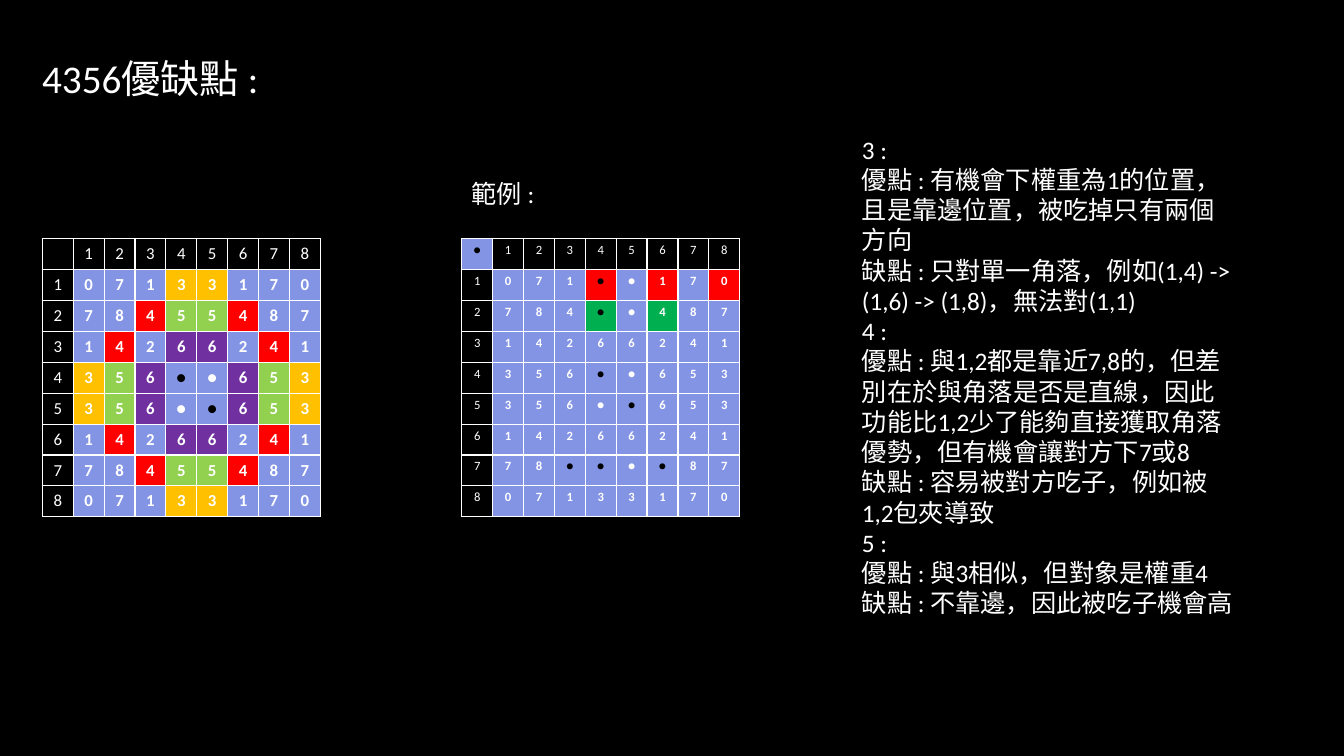
from lxml.etree import SubElement
from pptx import Presentation
from pptx.dml.color import RGBColor
from pptx.enum.text import MSO_AUTO_SIZE as AutoSize, PP_ALIGN as Align
from pptx.oxml.ns import qn
from pptx.util import Inches, Pt

FONT = "Calibri"
WHITE, BLACK = "FFFFFF", "000000"
BLUE, RED, GREEN = "8394E4", "FF0000", "00B050"
WEIGHT_FILLS = {"3": "FFC000", "4": RED, "5": "92D050", "6": "7030A0"}
MOVE_FILLS = {(1, 4): RED, (1, 6): RED, (1, 8): RED, (2, 4): GREEN, (2, 6): GREEN}
BOARD_SIZE = 2.76
DISC = "●"

# x is a black disc, o a white one; row 0 and column 0 are headers.
WEIGHTS = [" 12345678", "107133170", "278455487", "314266241", "4356xo653",
           "5356ox653", "614266241", "778455487", "807133170"]
EXAMPLE = ["x12345678", "1071xo170", "2784xo487", "314266241", "4356xo653",
           "5356ox653", "614266241", "778xxox87", "807133170"]

NOTES = [
    "3 : ",
    "優點 : 有機會下權重為1的位置，且是靠邊位置，被吃掉只有兩個方向",
    "缺點 : 只對單一角落，例如(1,4) -> (1,6) -> (1,8)，無法對(1,1)",
    "4 :",
    "優點 : 與1,2都是靠近7,8的，但差別在於與角落是否是直線，因此功能比1,2少了能夠直接獲取角落優勢，但有機會讓對方下7或8",
    "缺點 : 容易被對方吃子，例如被1,2包夾導致",
    "5 : ",
    "優點 : 與3相似，但對象是權重4",
    "缺點 : 不靠邊，因此被吃子機會高",
]


def rgb(color):
    """Turn a hex string into a colour."""
    return RGBColor.from_string(color)


def style(font, size, color=WHITE, bold=False):
    """Set typeface, size, colour and weight of a font."""
    font.name, font.size, font.bold = FONT, Pt(size), bold
    font.color.rgb = rgb(color)


def add_text(slide, left, top, width, height, lines, size):
    """Add a wrapping text box with one paragraph per line."""
    box = slide.shapes.add_textbox(*map(Inches, (left, top, width, height)))
    tf = box.text_frame
    tf.word_wrap, tf.auto_size = True, AutoSize.SHAPE_TO_FIT_TEXT
    tf.text = "\n".join(lines)
    for p in tf.paragraphs:
        style(p.font, size)


def add_borders(cell):
    """Draw thin white lines on all four sides of a cell."""
    tc_pr = cell._tc.get_or_add_tcPr()
    for side in "LRTB":
        ln = SubElement(tc_pr, qn(f"a:ln{side}"), w=str(Pt(1)))
        SubElement(SubElement(ln, qn("a:solidFill")), qn("a:srgbClr"), val=WHITE)


def fill_cell(cell, mark, size, fill, bold):
    """Write a digit or disc into a cell and colour it."""
    add_borders(cell)
    if fill:
        cell.fill.solid()
        cell.fill.fore_color.rgb = rgb(fill)
    else:
        cell.fill.background()
    p = cell.text_frame.paragraphs[0]
    p.alignment = Align.CENTER
    if mark == " ":
        p._p.get_or_add_endParaRPr().set("sz", str(size * 100))
    else:
        p.text = DISC if mark in "xo" else mark
        style(p.font, size, BLACK if mark == "x" else WHITE, bold)


def add_board(slide, left, top, rows, size, fill_of, insets=None):
    """Add a square board table; fill_of(row, column, mark) colours its squares."""
    n, side = len(rows), Inches(BOARD_SIZE)
    table = slide.shapes.add_table(n, n, Inches(left), Inches(top), side, side).table
    table.first_row = table.horz_banding = False
    for line in [*table.rows]:
        line.height = side // n
    for line in [*table.columns]:
        line.width = side // n
    for r, marks in enumerate(rows):
        for c, mark in enumerate(marks):
            cell = table.cell(r, c)
            if insets:
                cell.margin_left = cell.margin_right = Inches(insets[0])
                cell.margin_top = cell.margin_bottom = Inches(insets[1])
            on_board = (r and c) or mark == "x"
            fill = fill_of(r, c, mark) if on_board else None
            fill_cell(cell, mark, size, fill, bool(on_board))


def main():
    """Build the slide and save it."""
    prs = Presentation()
    prs.slide_width, prs.slide_height = Inches(13.33), Inches(7.5)
    slide = prs.slides.add_slide(prs.slide_layouts[6])
    slide.background.fill.solid()
    slide.background.fill.fore_color.rgb = rgb(BLACK)

    add_board(slide, 0.42, 2.37, WEIGHTS, 12,
              lambda r, c, mark: WEIGHT_FILLS.get(mark, BLUE))
    add_board(slide, 4.58, 2.37, EXAMPLE, 9,
              lambda r, c, mark: MOVE_FILLS.get((r, c), BLUE), (0.08, 0.04))
    add_text(slide, 8.45, 1.28, 3.91, 4.95, NOTES, 18)
    add_text(slide, 0.32, 0.49, 5.84, 0.57, ["4356優缺點 : "], 28)
    add_text(slide, 4.58, 1.72, 2.76, 0.4, ["範例 : "], 18)
    prs.save("out.pptx")


main()
